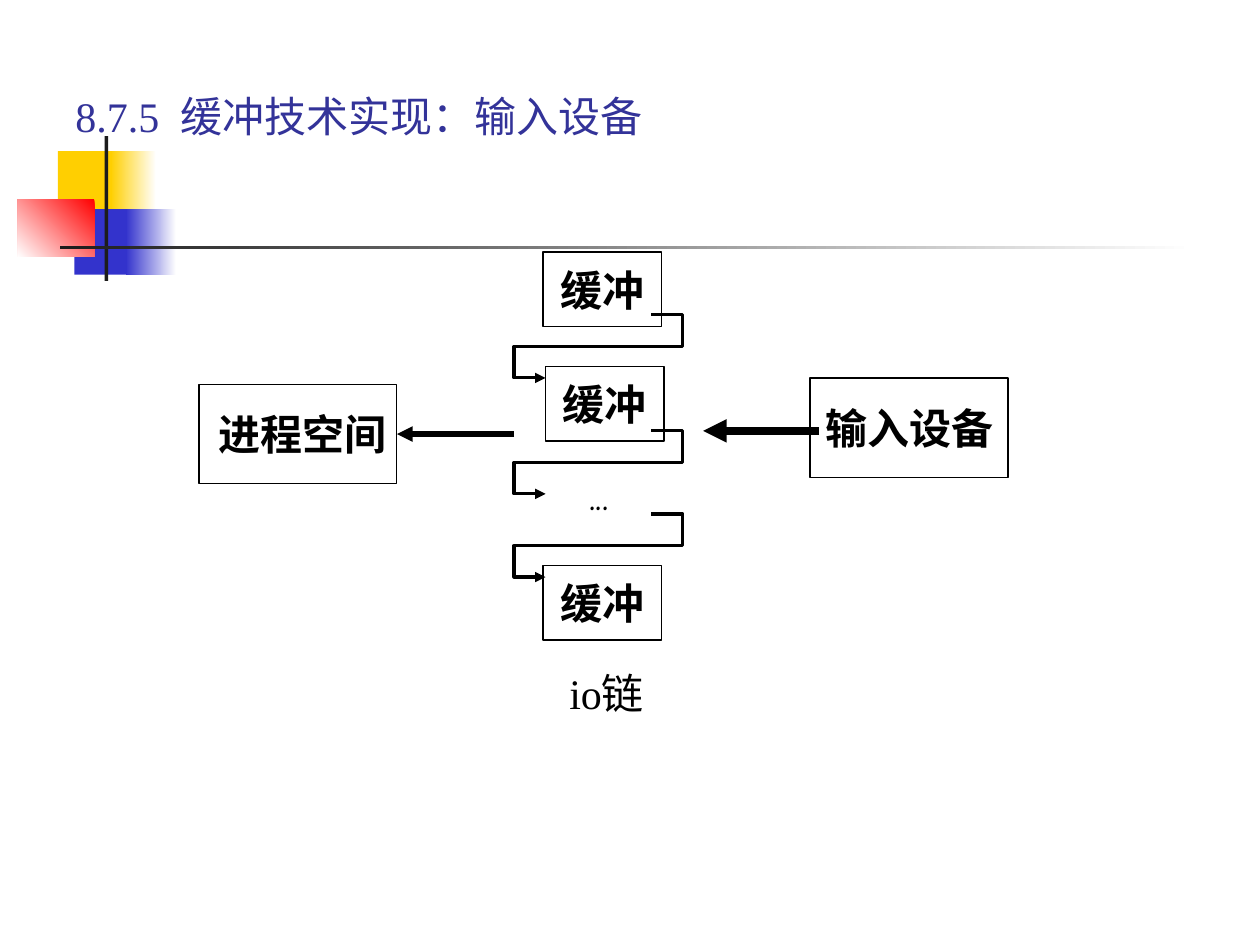
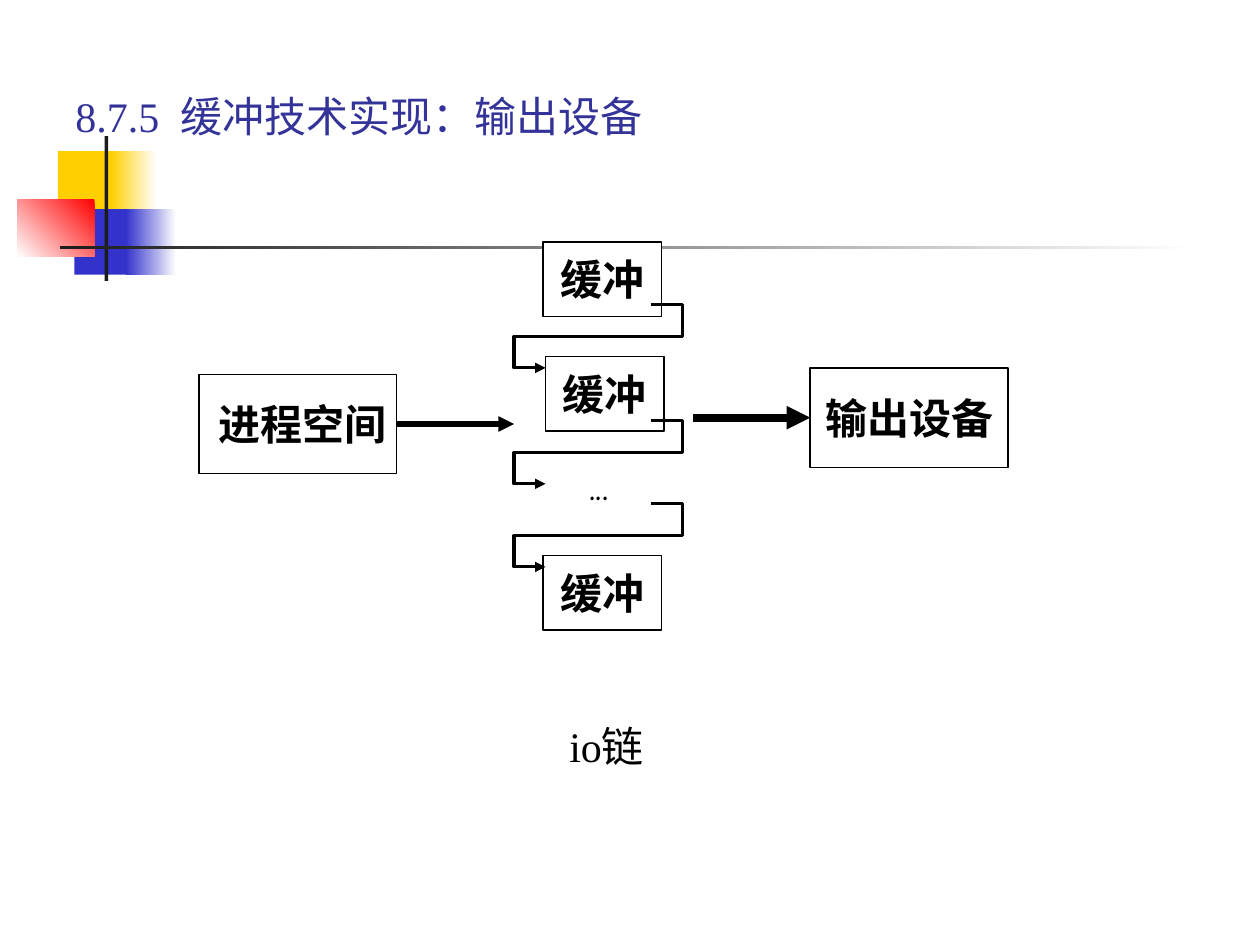
import pptx
import pptx.util
import pptx.dml.color
import pptx.enum.shapes
import pptx.enum.text
import pptx.oxml.ns
import pptx.oxml.xmlchemy

Inches = pptx.util.Inches
Pt = pptx.util.Pt
RGB = pptx.dml.color.RGBColor
RECT = pptx.enum.shapes.MSO_SHAPE.RECTANGLE

WHITE = RGB(0xFF, 0xFF, 0xFF)
BLACK = RGB(0, 0, 0)
YELLOW = RGB(0xFF, 0xCF, 0x01)
BLUE = RGB(0x33, 0x33, 0xCC)
RED = RGB(0xFF, 0, 0)
DARK = RGB(0x1C, 0x1C, 0x1C)
NAVY = RGB(0x33, 0x33, 0x99)
SERIF = "Times New Roman"
COMIC = "Comic Neue"
LEFT, RIGHT = 1, 3  # connection sites of a rectangle


def style(frame, text, color=BLACK, font=SERIF, bold=False):
    frame.text = text
    face = frame.paragraphs[0].runs[0].font
    face.size, face.name, face.bold = Pt(24), font, bold
    face.color.rgb = color


def label(slide, text, x, y, w, color=BLACK, font=SERIF):
    area = slide.shapes.add_textbox(Inches(x), Inches(y), Inches(w), Inches(0.5))
    area.text_frame.word_wrap = True
    style(area.text_frame, text, color, font)


def rect(slide, x, y, w, h):
    shape = slide.shapes.add_shape(RECT, Inches(x), Inches(y), Inches(w), Inches(h))
    shape.shadow.inherit = False
    shape.line.fill.background()
    return shape


def block(slide, x, y, w, h, color):
    fill = rect(slide, x, y, w, h).fill
    fill.solid()
    fill.fore_color.rgb = color


def fade(slide, x, y, w, h, first, last, angle=180):
    fill = rect(slide, x, y, w, h).fill
    fill.gradient()
    fill.gradient_angle = angle
    for stop, color, place in zip(fill.gradient_stops, (first, last), (0, 1)):
        stop.color.rgb = color
        stop.position = place


def box(slide, text, x, y, w, h):
    shape = rect(slide, x, y, w, h)
    shape.fill.solid()
    shape.fill.fore_color.rgb = WHITE
    shape.line.color.rgb = BLACK
    shape.line.width = Pt(0.75)
    frame = shape.text_frame
    frame.word_wrap = False
    frame.vertical_anchor = pptx.enum.text.MSO_ANCHOR.MIDDLE
    style(frame, text, bold=True)
    frame.paragraphs[0].alignment = pptx.enum.text.PP_ALIGN.CENTER
    return shape


def stroke(shape, weight):
    """Black line with a triangle at its end."""
    shape.line.color.rgb = BLACK
    shape.line.width = Pt(weight)
    props = shape.element.spPr
    tip = pptx.oxml.xmlchemy.OxmlElement("a:tailEnd")
    tip.set("type", "triangle")
    props.find(pptx.oxml.ns.qn("a:ln")).append(tip)


def arrow(slide, start, end, y, weight):
    """Level arrow; each end is an x in inches or a (shape, site) pair."""
    x1, x2 = (0 if isinstance(e, tuple) else Inches(e) for e in (start, end))
    line = slide.shapes.add_connector(
        pptx.enum.shapes.MSO_CONNECTOR.STRAIGHT, x1, y, x2, y)
    if isinstance(start, tuple):
        line.begin_connect(*start)
    if isinstance(end, tuple):
        line.end_connect(*end)
    stroke(line, weight)
    line.element.spPr.append(pptx.oxml.xmlchemy.OxmlElement("a:effectLst"))


def hook(slide, x, y):
    """Link from one buffer's right side round to the next one's left."""
    turns = [(1.34, 0), (1.34, 0.25), (0, 0.25), (0, 0.5), (0.25, 0.5)]
    build = slide.shapes.build_freeform(Inches(x + 1.09), Inches(y))
    build.add_line_segments(
        [(Inches(x + dx), Inches(y + dy)) for dx, dy in turns], close=False)
    shape = build.convert_to_shape()
    shape.shadow.inherit = False
    shape.fill.background()
    stroke(shape, 1.75)


def middle(shape):
    return shape.top + shape.height // 2


def motif(slide, x, y):
    """Coloured squares and the crossing bars."""
    block(slide, x + 0.32, y + 0.12, 0.48, 0.52, YELLOW)
    fade(slide, x + 0.74, y + 0.12, 0.36, 0.52, WHITE, YELLOW)
    block(slide, x + 0.45, y + 0.58, 0.46, 0.52, BLUE)
    fade(slide, x + 0.86, y + 0.58, 0.4, 0.52, WHITE, BLUE)
    fade(slide, x, y + 0.5, 0.61, 0.46, RED, WHITE, 225)
    block(slide, x + 0.69, y, 0.03, 1.15, DARK)
    fade(slide, x + 0.34, y + 0.87, 9, 0.03, WHITE, DARK)


def chain(slide, x, y):
    """Linked buffers."""
    for dx, dy in [(0.23, 0), (0.25, 0.91), (0.23, 2.49)]:
        box(slide, "缓冲", x + dx, y + dy, 0.94, 0.59)
    label(slide, "...", x + 0.5, y + 1.67, 0.58, font=COMIC)
    for dy in (0.5, 1.42, 2.08):
        hook(slide, x, y + dy)


def flow(slide, device, x, y, inward):
    """Process on the left, chain in the middle, device on the right."""
    space = box(slide, " 进程空间", x, y + 1.05, 1.57, 0.79)
    unit = box(slide, device, x + 4.85, y + 1, 1.57, 0.79)
    near = x + 2.5
    if inward:
        arrow(slide, near, (space, RIGHT), middle(space), 3)
        arrow(slide, x + 4.92, x + 4, Inches(y + 1.42), 4.5)
    else:
        arrow(slide, (space, RIGHT), near, middle(space), 3)
        arrow(slide, x + 3.92, (unit, LEFT), middle(unit), 4.5)
    chain(slide, near, y)


def page(deck, device, top, foot, inward):
    slide = deck.slides.add_slide(deck.slide_layouts[6])
    motif(slide, 0.14, 1.08)
    label(slide, "8.7.5  缓冲技术实现：" + device, 0.5, 0.67, 5.42, NAVY)
    flow(slide, device, 1.58, top, inward)
    label(slide, "io链", 4.42, foot, 1)


def main():
    deck = pptx.Presentation()
    deck.slide_width, deck.slide_height = Inches(10), Inches(7.5)
    page(deck, "输入设备", 2, 5.25, True)
    page(deck, "输出设备", 1.92, 5.67, False)
    deck.save("out.pptx")


if __name__ == "__main__":
    main()
